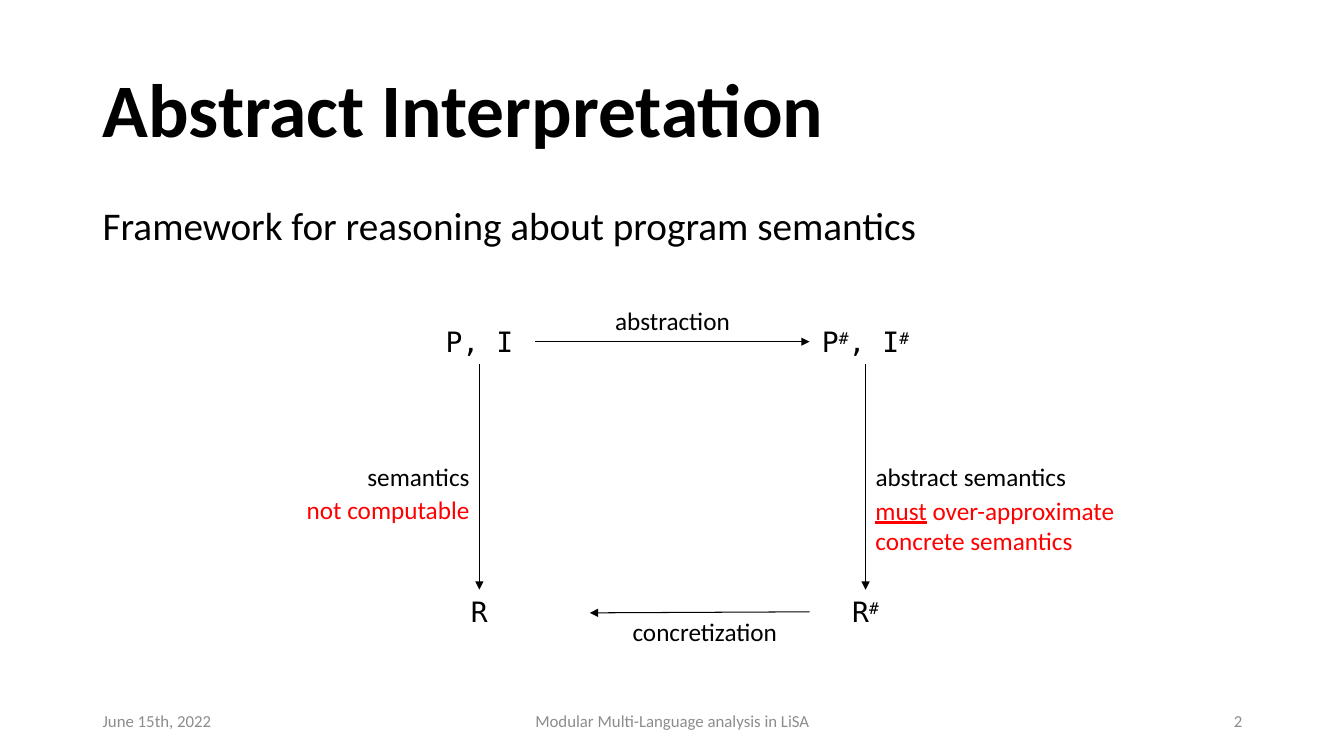
from dataclasses import dataclass

from lxml.etree import SubElement
from pptx import Presentation
from pptx.dml.color import RGBColor
from pptx.enum.shapes import MSO_CONNECTOR
from pptx.enum.text import MSO_ANCHOR, MSO_AUTO_SIZE, PP_ALIGN
from pptx.oxml.ns import qn
from pptx.util import Inches, Pt


@dataclass(frozen=True)
class Theme:
    """Fonts, colours and type sizes of the slide."""
    sans: str = "Calibri"
    mono: str = "DejaVu Sans Mono"
    ink: RGBColor = RGBColor(0, 0, 0)
    alert: RGBColor = RGBColor(255, 0, 0)
    muted: RGBColor = RGBColor(0x8C, 0x8C, 0x8C)
    title: int = 54
    body: int = 28
    node: int = 20
    label: int = 18
    footer: int = 12
    line: float = 0.75


THEME = Theme()
LEFT, CENTER, RIGHT = PP_ALIGN.LEFT, PP_ALIGN.CENTER, PP_ALIGN.RIGHT


def write_text(shape, *parts, size, font=THEME.sans, color=THEME.ink, bold=False,
               align=LEFT, anchor=MSO_ANCHOR.TOP, spacing=1.0, underlined="", grow=False):
    """Write one paragraph of runs, raising each # and underlining the chosen run."""
    frame = shape.text_frame
    frame.word_wrap = True
    frame.auto_size = MSO_AUTO_SIZE.SHAPE_TO_FIT_TEXT if grow else MSO_AUTO_SIZE.NONE
    frame.vertical_anchor = anchor
    paragraph = frame.paragraphs[0]
    paragraph.alignment = align
    paragraph.line_spacing = spacing
    for part in parts:
        run = paragraph.add_run()
        run.text = part
        run.font.name = font
        run.font.size = Pt(size)
        run.font.bold = bold
        run.font.color.rgb = color
        if part == underlined:
            run.font.underline = True
        if part == "#":
            run.font._element.set("baseline", "30000")


def add_text(slide, box, *parts, **text_format):
    """Add a text box at left, top, width, height in inches."""
    shape = slide.shapes.add_textbox(*map(Inches, box))
    write_text(shape, *parts, **text_format)
    return shape


def add_arrow(slide, source, source_side, target=None, target_side=None, end=(0, 0)):
    """Add an arrow from a shape's side to another shape's side or to a free end."""
    x, y = map(Inches, end)
    arrow = slide.shapes.add_connector(MSO_CONNECTOR.STRAIGHT, x, y, x, y)
    arrow.begin_connect(source, source_side)
    if target is not None:
        arrow.end_connect(target, target_side)
    arrow.line.color.rgb = THEME.ink
    arrow.line.width = Pt(THEME.line)
    SubElement(arrow.line._get_or_add_ln(), qn("a:tailEnd"), type="triangle")
    SubElement(arrow._element.spPr, qn("a:effectLst"))


def add_heading(slide, left, top, width):
    """Place the title and the statement below it."""
    title = slide.shapes.title
    title.left, title.top = Inches(left), Inches(top)
    title.width, title.height = Inches(width), Inches(1.45)
    write_text(title, "Abstract Interpretation", size=THEME.title, bold=True,
               anchor=MSO_ANCHOR.MIDDLE, spacing=0.9)
    add_text(slide, (left, top + 1.6, width, 4.76),
             "Framework for reasoning about program semantics", size=THEME.body, spacing=0.9)


def add_diagram(slide, left, top):
    """Draw the concrete and abstract columns, their arrows and the arrow labels."""
    node_width, node_height = 1.11, 0.44
    column_step, row_step = 3.83, 2.68
    node_names = [[["P, I"], ["P", "#", ", I", "#"]], [["R"], ["R", "#"]]]
    nodes = [
        [add_text(slide, (left + column * column_step, top + row * row_step,
                          node_width, node_height), *parts,
                  size=THEME.node, font=THEME.mono, align=CENTER, grow=True)
         for column, parts in enumerate(names)]
        for row, names in enumerate(node_names)]
    (program, abstract_program), (result, abstract_result) = nodes

    add_arrow(slide, program, 2, result, 0)
    add_arrow(slide, abstract_program, 2, abstract_result, 0)
    add_arrow(slide, program, 3, abstract_program, 1)
    add_arrow(slide, abstract_result, 1, end=(left + 1.65, top + 2.91))

    concrete_x = left + node_width / 2
    abstract_x = concrete_x + column_step
    width = 1.95
    labels = [
        (concrete_x - width, 1.36, width, ["semantics"], RIGHT, THEME.ink),
        (concrete_x - width, 1.69, width, ["not computable"], RIGHT, THEME.alert),
        (abstract_x, 1.36, 2.15, ["abstract semantics"], LEFT, THEME.ink),
        (abstract_x, 1.69, 2.66, ["must", " over-approximate concrete semantics"],
         LEFT, THEME.alert),
        (left + 1.74, -0.19, 1.46, ["abstraction"], CENTER, THEME.ink),
        (left + 1.95, 2.9, 1.68, ["concretization"], CENTER, THEME.ink),
    ]
    for x, offset, label_width, parts, align, color in labels:
        height = 0.4 if len(parts) == 1 else 0.71
        add_text(slide, (x, top + offset, label_width, height), *parts, size=THEME.label,
                 align=align, color=color, underlined="must", grow=True)


def add_footer(slide, left, top, width):
    """Place the date, the talk name and the slide number across the width."""
    side, middle = 3, 4.5
    entries = [
        (left, side, "June 15th, 2022", LEFT),
        (left + (width - middle) / 2, middle, "Modular Multi-Language analysis in LiSA", CENTER),
        (left + width - side, side, "2", RIGHT),
    ]
    for x, entry_width, text, align in entries:
        add_text(slide, (x, top, entry_width, 0.4), text, size=THEME.footer,
                 color=THEME.muted, align=align, anchor=MSO_ANCHOR.MIDDLE)


def main():
    """Build and save the presentation."""
    presentation = Presentation()
    presentation.slide_width = Inches(13.33)
    presentation.slide_height = Inches(7.5)
    slide = presentation.slides.add_slide(presentation.slide_layouts[5])
    add_heading(slide, 0.92, 0.4, 11.5)
    add_diagram(slide, 4.2, 3.17)
    add_footer(slide, 0.92, 6.95, 11.5)
    presentation.save("out.pptx")


if __name__ == "__main__":
    main()
